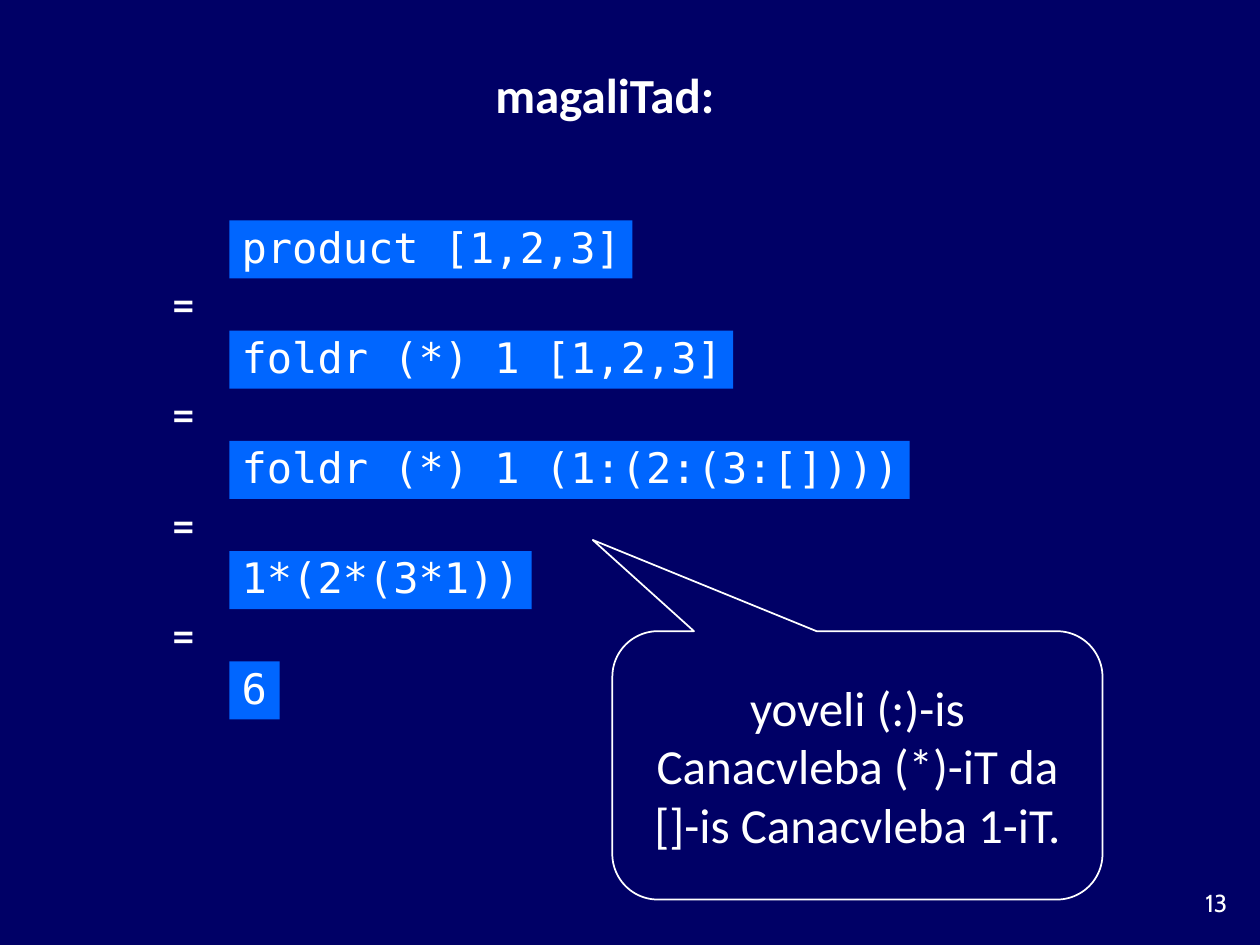
from dataclasses import dataclass

from pptx import Presentation
from pptx import util as u
from pptx.dml.color import RGBColor
from pptx.enum import shapes, text


@dataclass(frozen=True)
class Theme:
    background: RGBColor = RGBColor(0x00, 0x00, 0x66)
    code_fill: RGBColor = RGBColor(0x00, 0x66, 0xFF)
    ink: RGBColor = RGBColor(0xFF, 0xFF, 0xFF)
    body_font: str = "Calibri"
    label_font: str = "Cabin"
    code_font: str = "DejaVu Sans Mono"
    body_size: int = 28
    code_size: int = 24
    number_size: int = 14


class SlideBuilder:
    def __init__(self, presentation, theme):
        self.theme = theme
        self.slide = presentation.slides.add_slide(presentation.slide_layouts[6])
        fill = self.slide.background.fill
        fill.solid()
        fill.fore_color.rgb = theme.background

    def set_text(self, shape, words, font, size, align, wrap=True, bold=False,
                 anchor=text.MSO_ANCHOR.MIDDLE):
        frame = shape.text_frame
        frame.word_wrap = wrap
        frame.vertical_anchor = anchor
        paragraph = frame.paragraphs[0]
        paragraph.text = words
        paragraph.alignment = align
        paragraph.font.name = font
        paragraph.font.size = u.Pt(size)
        paragraph.font.bold = bold
        paragraph.font.color.rgb = self.theme.ink
        return paragraph

    def label(self, box, words, parent=None, **style):
        parent = parent or self.slide
        shape = parent.shapes.add_textbox(*map(u.Inches, box))
        self.set_text(shape, words, **style)

    def code(self, left, top, words, parent=None):
        # The box is as wide as its characters plus the two side insets
        parent = parent or self.slide
        width = 0.2 + 0.2 * len(words)
        shape = parent.shapes.add_shape(
            shapes.MSO_SHAPE.RECTANGLE,
            *map(u.Inches, (left, top, width, 0.46)))
        shape.shadow.inherit = False
        shape.fill.solid()
        shape.fill.fore_color.rgb = self.theme.code_fill
        shape.line.fill.background()
        paragraph = self.set_text(shape, words, self.theme.code_font,
                                  self.theme.code_size, text.PP_ALIGN.LEFT,
                                  wrap=False)
        paragraph.line_spacing = 0.9

    def step(self, left, top, words):
        group = self.slide.shapes.add_group_shape()
        self.code(left, top, words, group)
        self.label((left - 0.57, top - 0.52, 0.42, 0.57), "=", group,
                   font=self.theme.label_font, size=self.theme.body_size,
                   align=text.PP_ALIGN.CENTER, wrap=False)

    def callout(self, box, words, adjustments):
        shape = self.slide.shapes.add_shape(
            shapes.MSO_SHAPE.ROUNDED_RECTANGULAR_CALLOUT, *map(u.Inches, box))
        shape.shadow.inherit = False
        for index, value in enumerate(adjustments):
            shape.adjustments[index] = value
        shape.fill.background()
        shape.line.color.rgb = self.theme.ink
        shape.line.width = u.Pt(1)
        self.set_text(shape, words, self.theme.body_font, self.theme.body_size,
                      text.PP_ALIGN.CENTER)


def main():
    presentation = Presentation()
    presentation.slide_width = u.Inches(10)
    presentation.slide_height = u.Inches(7.5)
    theme = Theme()
    builder = SlideBuilder(presentation, theme)

    # Slide number
    builder.label((9.17, 7, 0.67, 0.33), "13", font=theme.label_font,
                  size=theme.number_size, align=text.PP_ALIGN.RIGHT,
                  anchor=text.MSO_ANCHOR.TOP)

    # Evaluation steps at an equal pitch
    left, top, pitch = 1.82, 1.75, 3.5 / 4
    start, *steps = [
        "product [1,2,3]",
        "foldr (*) 1 [1,2,3]",
        "foldr (*) 1 (1:(2:(3:[])))",
        "1*(2*(3*1))",
        "6",
    ]
    builder.code(left, top, start)
    for row, words in enumerate(steps, start=1):
        builder.step(left, top + row * pitch, words)

    # Title
    builder.label((0.37, 0.46, 8.86, 0.57), "magaliTad:", font=theme.body_font,
                  size=theme.body_size, align=text.PP_ALIGN.CENTER, bold=True)

    # Explanation
    builder.callout((4.86, 5.01, 3.89, 2.13),
                    "yoveli (:)-is Canacvleba (*)-iT da []-is Canacvleba 1-iT.",
                    (-0.54, -0.84, 0.17))

    presentation.save("out.pptx")


if __name__ == "__main__":
    main()
